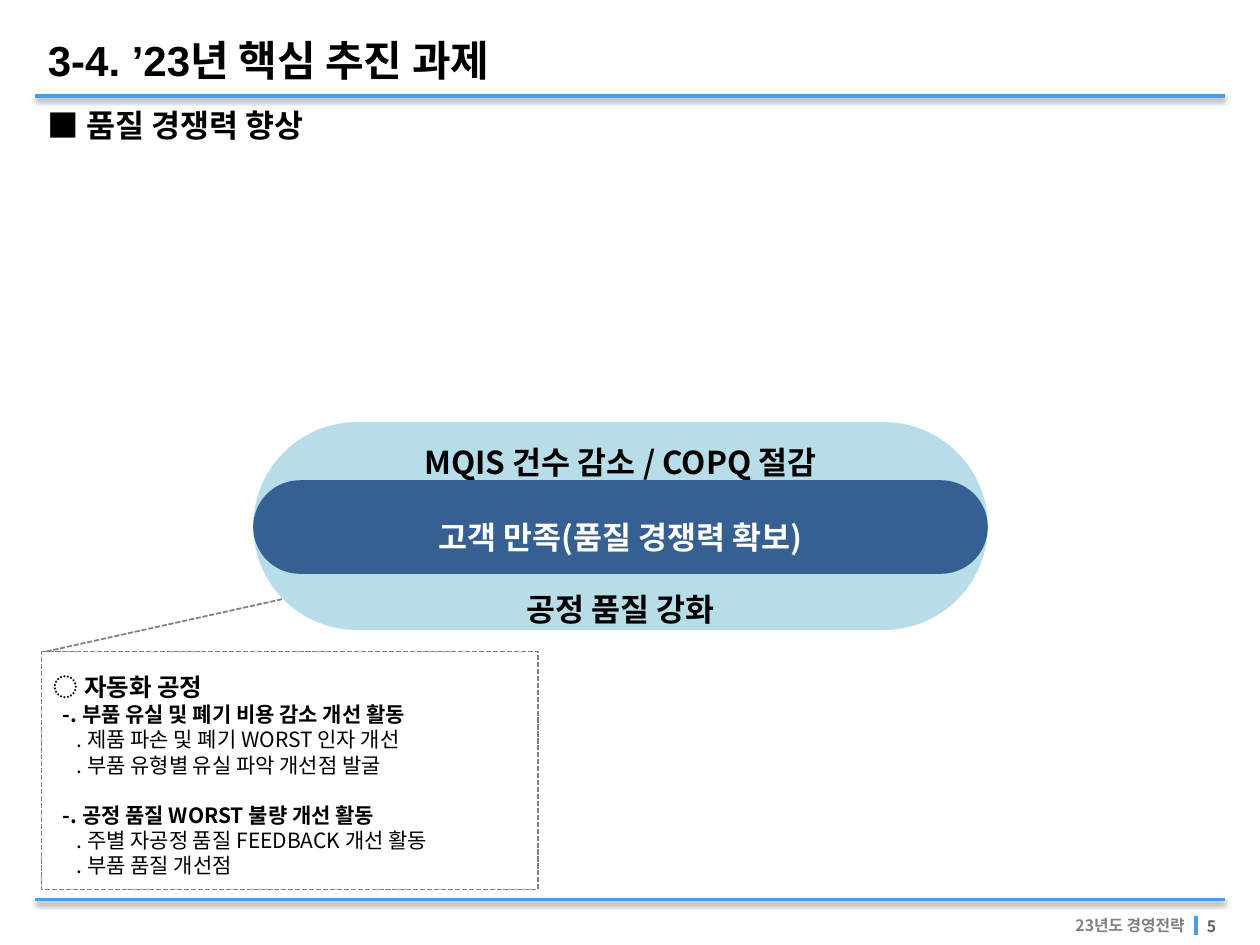
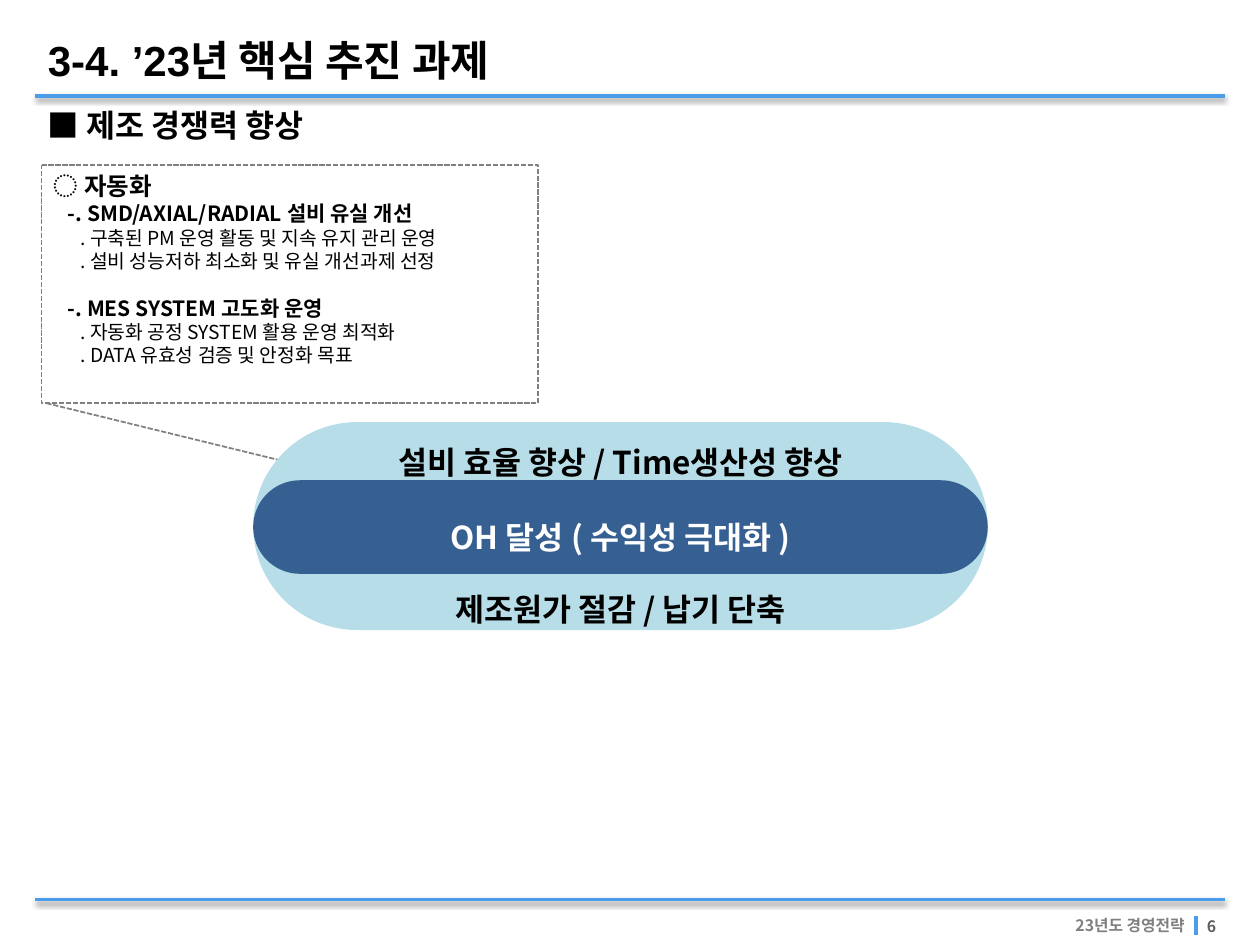
from collections import namedtuple

from lxml import etree
from pptx import Presentation
from pptx import util as u
from pptx.dml.color import RGBColor
from pptx.enum import dml, shapes, text
from pptx.oxml import ns

UNIT = u.Inches(0.1)
COLUMNS, ROWS = 100, 75
MARGIN = 2.8
HANGUL = "Noto Sans CJK KR"
BLACK, WHITE, SKY, PALE, NAVY = "000000", "FFFFFF", "499DE9", "B7DEE8", "376092"
GREY, DARK_GREY = "808080", "5F5F5F"
LINE_HEIGHT = 1.2

Box = namedtuple("Box", "left top width height")
Level = namedtuple("Level", "size bold indent")

TITLE_BOX = Box(MARGIN, 2.8, 65.4, 4.5)
TOPIC_BOX = Box(MARGIN, 7.9, 65.4, 4.5)
GOAL_BOX = Box(20.1, 33.5, 58.3, 16.5)

TOPICS = [
    dict(
        page=5,
        topic="■ 품질 경쟁력 향상",
        goals=("MQIS 건수 감소 / COPQ 절감", "고객 만족(품질 경쟁력 확보)", "공정 품질 강화"),
        box=Box(3.3, 51.7, 39.4, 18.9),
        pointer=(0, 0.01, -0.49, 1.07),
        levels=(Level(14, True, 0), Level(12, True, 0.7), Level(12, False, 1.8)),
        heading_spacing=1.5,
        actions=[
            (0, "◌ 자동화 공정"),
            (1, "-. 부품 유실 및 폐기 비용 감소 개선 활동"),
            (2, ". 제품 파손 및 폐기 WORST 인자 개선"),
            (2, ". 부품 유형별 유실 파악 개선점 발굴"),
            (1, "-. 공정 품질 WORST 불량 개선 활동"),
            (2, ". 주별 자공정 품질 FEEDBACK 개선 활동"),
            (2, ". 부품 품질 개선점"),
        ],
    ),
    dict(
        page=6,
        topic="■ 제조 경쟁력 향상",
        goals=("설비 효율 향상 / Time생산성 향상", "OH 달성 ( 수익성 극대화 )", "제조원가 절감 / 납기 단축"),
        box=Box(3.3, 13.1, 39.4, 18.9),
        pointer=(1, 0.01, 1.54, 1.07),
        levels=(Level(14, True, 0), Level(12, True, 1.1), Level(11, False, 2.1)),
        heading_spacing=1,
        actions=[
            (0, "◌ 자동화"),
            (1, "-. SMD/AXIAL/RADIAL 설비 유실 개선"),
            (2, ". 구축된 PM 운영 활동 및 지속 유지 관리 운영"),
            (2, ". 설비 성능저하 최소화 및 유실 개선과제 선정"),
            (1, "-. MES SYSTEM 고도화 운영"),
            (2, ". 자동화 공정 SYSTEM 활용 운영 최적화"),
            (2, ". DATA 유효성 검증 및 안정화 목표"),
        ],
    ),
]


def grid(*cells):
    """Turn grid units into lengths."""
    return [int(cell * UNIT) for cell in cells]


def color(value):
    """Turn a hex string into a colour."""
    return RGBColor.from_string(value)


def add_xml(parent, tag, **attributes):
    """Append a drawing element to a parent."""
    return etree.SubElement(parent, ns.qn(tag), attributes)


def style(paragraph, size, ink, bold=True, latin=HANGUL):
    """Format every run of a paragraph."""
    for run in paragraph.runs:
        font = run.font
        font.size, font.bold, font.name = u.Pt(size), bold, latin
        font.color.rgb = color(ink)
        add_xml(font._element, "a:ea", typeface=HANGUL)


def indent(paragraph, cells):
    """Set the left margin of a paragraph and clear its bullet."""
    properties = paragraph._p.get_or_add_pPr()
    properties.set("marL", str(grid(cells)[0]))
    properties.set("indent", "0")
    add_xml(properties, "a:buNone")


def heading(placeholder, box, words, size):
    """Place and format a one-line heading placeholder."""
    placeholder.left, placeholder.top, placeholder.width, placeholder.height = grid(*box)
    frame = placeholder.text_frame
    frame.text = words
    frame.vertical_anchor = text.MSO_ANCHOR.MIDDLE
    frame.auto_size = text.MSO_AUTO_SIZE.NONE
    line = frame.paragraphs[0]
    indent(line, 0)
    line.alignment = text.PP_ALIGN.LEFT
    line.line_spacing, line.space_before = 0.85, u.Pt(0)
    style(line, size, BLACK, latin="Arial")


def rule(slide, start, end, weight, shadowed=False):
    """Draw a blue line, with a soft shadow if asked."""
    line = slide.shapes.add_connector(shapes.MSO_CONNECTOR.STRAIGHT, *grid(*start, *end))
    line.line.color.rgb = color(SKY)
    line.line.width = u.Pt(weight)
    effects = add_xml(line._element.spPr, "a:effectLst")
    if shadowed:
        shadow = add_xml(effects, "a:outerShdw", blurRad=str(u.Pt(3.1)),
                         dist=str(u.Pt(1.6)), dir="5400000", rotWithShape="0")
        black = add_xml(shadow, "a:srgbClr", val=BLACK)
        add_xml(black, "a:alpha", val="38000")


def footer_label(slide, box, words, ink, alignment):
    """Write one small footer text."""
    frame = slide.shapes.add_textbox(*grid(*box)).text_frame
    frame.word_wrap = True
    frame.vertical_anchor = text.MSO_ANCHOR.MIDDLE
    frame.text = words
    frame.paragraphs[0].alignment = alignment
    style(frame.paragraphs[0], 9, ink)
    return frame.paragraphs[0]


def page_frame(slide, page):
    """Draw the rules and the footer that every slide shares."""
    for row in (7.6, ROWS - 3.6):
        rule(slide, (COLUMNS - MARGIN, row), (MARGIN, row), 2, shadowed=True)
    divider = COLUMNS - 5.1
    number = footer_label(slide, Box(divider - 0.1, 72.7, 4.4, 2), str(page),
                          DARK_GREY, text.PP_ALIGN.LEFT)
    number.line_spacing = 0.6
    footer_label(slide, Box(divider - 14.9, 72.2, 15, 2.5), "23년도 경영전략",
                 GREY, text.PP_ALIGN.RIGHT)
    rule(slide, (divider, 72.7), (divider, 74.2), 2.25)


def plain_shape(slide, kind, box, fill):
    """Add a filled shape without outline or shadow."""
    shape = slide.shapes.add_shape(kind, *grid(*box))
    shape.shadow.inherit = False
    shape.fill.solid()
    shape.fill.fore_color.rgb = color(fill)
    shape.line.fill.background()
    return shape


def action_callout(slide, box, pointer, levels, heading_spacing, actions):
    """Draw the dashed callout that lists the actions."""
    callout = plain_shape(slide, shapes.MSO_SHAPE.LINE_CALLOUT_1, box, WHITE)
    for index, share in enumerate(pointer):
        callout.adjustments[index] = share
    callout.line.color.rgb = color(GREY)
    callout.line.width = u.Pt(1)
    callout.line.dash_style = dml.MSO_LINE.SQUARE_DOT
    frame = callout.text_frame
    frame.vertical_anchor = text.MSO_ANCHOR.TOP
    frame.text = "\n".join(words for _, words in actions)
    previous = 0
    for line, (depth, _) in zip(frame.paragraphs, actions):
        level = levels[depth]
        indent(line, level.indent)
        line.alignment = text.PP_ALIGN.LEFT
        spacing = heading_spacing if depth == 0 else 1
        line.line_spacing = u.Pt(level.size * LINE_HEIGHT * spacing)
        if depth < previous:
            line.space_before = u.Pt(levels[previous].size * LINE_HEIGHT)
        style(line, level.size, BLACK, level.bold)
        previous = depth


def pill(slide, box, fill, ink, lines, gap=0):
    """Draw a fully rounded bar with centred lines set apart by a gap."""
    bar = plain_shape(slide, shapes.MSO_SHAPE.ROUNDED_RECTANGLE, box, fill)
    bar.adjustments[0] = 0.5
    frame = bar.text_frame
    frame.vertical_anchor = text.MSO_ANCHOR.MIDDLE
    frame.text = "\n".join(lines)
    for index, line in enumerate(frame.paragraphs):
        line.alignment = text.PP_ALIGN.CENTER
        line.line_spacing = u.Pt(18 * LINE_HEIGHT * 1.5)
        line.space_before = u.Pt(gap if index else 0)
        style(line, 18, ink)


def goal_pills(slide, box, goals):
    """Draw the pale pill and the main goal across its middle."""
    above, main_goal, below = goals
    band = Box(box.left, box.top + 0.28 * box.height, box.width, 0.45 * box.height)
    pill(slide, box, PALE, BLACK, (above, below), gap=52)
    pill(slide, band, NAVY, WHITE, (main_goal,))


def topic_slide(deck, page, topic, goals, **callout):
    """Build one slide of the key tasks."""
    slide = deck.slides.add_slide(deck.slide_layouts[1])
    heading(slide.shapes.title, TITLE_BOX, "3-4. ’23년 핵심 추진 과제", 24)
    heading(slide.placeholders[1], TOPIC_BOX, topic, 18)
    page_frame(slide, page)
    action_callout(slide, **callout)
    goal_pills(slide, GOAL_BOX, goals)


def main():
    """Build and save the deck."""
    deck = Presentation()
    deck.slide_width, deck.slide_height = grid(COLUMNS, ROWS)
    for content in TOPICS:
        topic_slide(deck, **content)
    deck.save("out.pptx")


if __name__ == "__main__":
    main()
